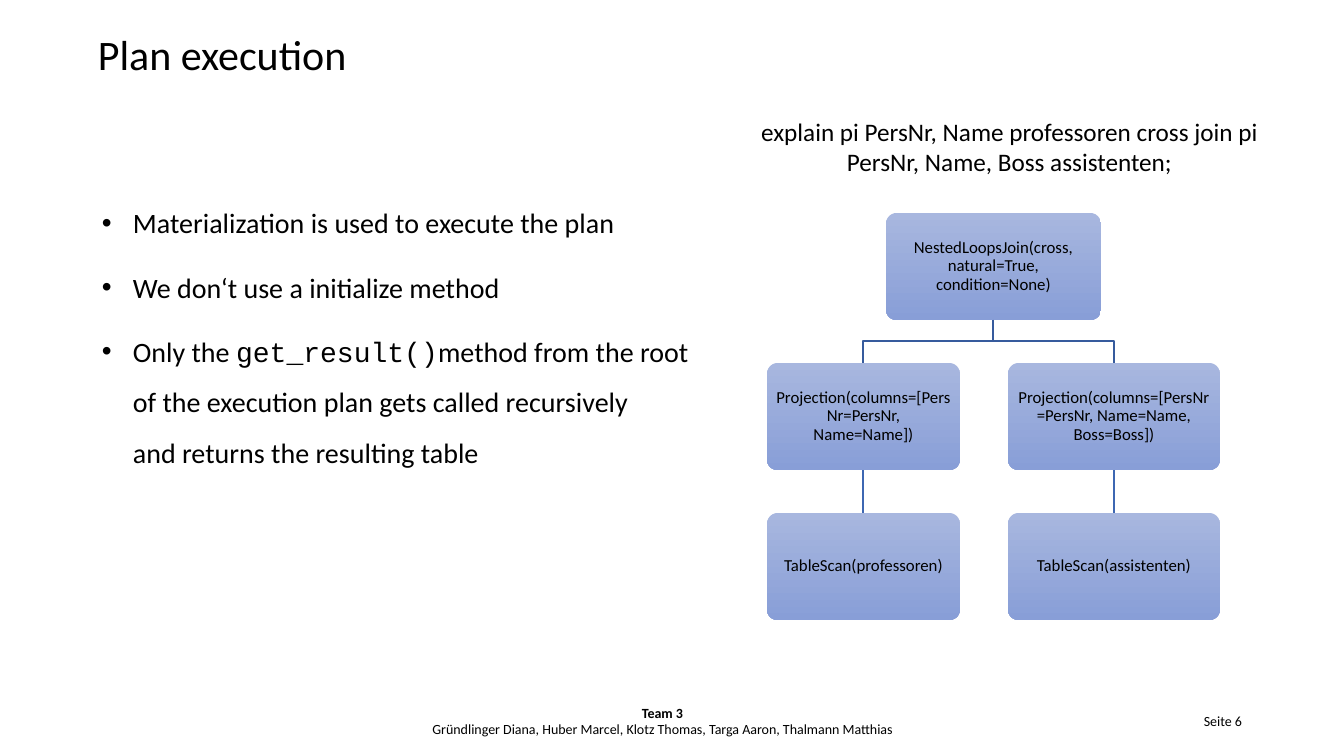
from dataclasses import dataclass
from typing import Any, NamedTuple

import pptx
import pptx.dml.color
import pptx.enum.shapes
import pptx.enum.text
import pptx.oxml.xmlchemy
import pptx.util

EMU_PER_PX = 914400 / 100.8
Align = pptx.enum.text.PP_ALIGN
Anchor = pptx.enum.text.MSO_ANCHOR


@dataclass(frozen=True)
class Theme:
    font: str = "Calibri"
    code_font: str = "Courier New"
    text: str = "000000"
    node_top: str = "A8B7DF"
    node_bottom: str = "889ED7"
    elbow: str = "365B9D"
    straight: str = "3E67B2"
    title_size: int = 30
    body_size: int = 20
    caption_size: int = 18
    node_size: int = 12
    footer_size: int = 10


THEME = Theme()


class Box(NamedTuple):
    left: int
    top: int
    width: int
    height: int

    @property
    def center(self) -> int:
        return self.left + self.width // 2

    @property
    def bottom(self) -> int:
        return self.top + self.height


class Run(NamedTuple):
    text: str
    font: str = THEME.font
    bold: bool = False


@dataclass(frozen=True)
class TextBlock:
    box: Box
    paragraphs: list[list[Run]]
    size: int
    paragraph_format: dict[str, Any]
    frame_format: dict[str, Any]
    bulleted: bool = False


@dataclass(frozen=True)
class PlanNode:
    box: Box
    label: str


NODE_HEIGHT, ROW_PITCH, TREE_TOP = 107, 150, 213


def plan_node(left: int, width: int, row: int, label: str) -> PlanNode:
    return PlanNode(Box(left, TREE_TOP + row * ROW_PITCH, width, NODE_HEIGHT), label)


ROOT = plan_node(886, 215, 0, "NestedLoopsJoin(cross, natural=True, condition=None)")
BRANCHES = [
    (plan_node(767, 193, 1, "Projection(columns=[PersNr=PersNr, Name=Name])"),
     plan_node(767, 193, 2, "TableScan(professoren)")),
    (plan_node(1008, 212, 1, "Projection(columns=[PersNr=PersNr, Name=Name, Boss=Boss])"),
     plan_node(1008, 212, 2, "TableScan(assistenten)")),
]


def px(length: int) -> pptx.util.Emu:
    return pptx.util.Emu(round(length * EMU_PER_PX))


def color(value: str) -> pptx.dml.color.RGBColor:
    return pptx.dml.color.RGBColor.from_string(value)


def apply(target: Any, values: dict[str, Any]) -> None:
    for name, value in values.items():
        setattr(target, name, value)


TEXT_BLOCKS = [
    TextBlock(Box(92, 184, 636, 476), [
        [Run("Materialization is used to execute the plan")],
        [Run("We don‘t use a initialize method")],
        [Run("Only the "), Run("get_result()", THEME.code_font),
         Run("method from the root of the execution plan gets called recursively\n"
             "and returns the resulting table")],
    ], THEME.body_size, {"line_spacing": 1.5, "space_before": pptx.util.Pt(10)},
        {"margin_right": px(14)}, bulleted=True),
    TextBlock(Box(950, 701, 302, 40), [[Run("Seite 6")]], THEME.footer_size,
              {"alignment": Align.RIGHT}, {"vertical_anchor": Anchor.MIDDLE}),
    TextBlock(Box(410, 701, 505, 40), [
        [Run("Team 3\n", bold=True),
         Run("Gründlinger Diana, Huber Marcel, Klotz Thomas, Targa Aaron, Thalmann Matthias")],
    ], THEME.footer_size, {"alignment": Align.CENTER}, {"vertical_anchor": Anchor.MIDDLE}),
    TextBlock(Box(88, 29, 1159, 53), [[Run("Plan execution")]], THEME.title_size,
              {"line_spacing": 0.9}, {}),
    TextBlock(Box(736, 111, 547, 72), [
        [Run("explain pi PersNr, Name professoren cross join pi "
             "PersNr, Name, Boss assistenten;")],
    ], THEME.caption_size, {"alignment": Align.CENTER}, {}),
]


def add_runs(paragraph: Any, runs: list[Run], size: int) -> None:
    """Write the runs, turning each newline into a line break."""
    for run in runs:
        for index, line in enumerate(run.text.split("\n")):
            if index:
                paragraph.add_line_break()
            if line:
                text_run = paragraph.add_run()
                text_run.text = line
                apply(text_run.font, {"name": run.font, "size": pptx.util.Pt(size),
                                      "bold": run.bold})
                text_run.font.color.rgb = color(THEME.text)


def add_bullet(paragraph: Any) -> None:
    properties = paragraph._p.get_or_add_pPr()
    properties.set("marL", str(px(31)))
    properties.set("indent", str(px(-31)))
    for tag, name, value in (("a:buFont", "typeface", "Arial"), ("a:buChar", "char", "•")):
        element = pptx.oxml.xmlchemy.OxmlElement(tag)
        element.set(name, value)
        properties.append(element)


def add_text_block(slide: Any, block: TextBlock) -> None:
    frame = slide.shapes.add_textbox(*map(px, block.box)).text_frame
    apply(frame, {"word_wrap": True, **block.frame_format})
    for index, runs in enumerate(block.paragraphs):
        paragraph = frame.add_paragraph() if index else frame.paragraphs[0]
        apply(paragraph, block.paragraph_format)
        add_runs(paragraph, runs, block.size)
        if block.bulleted:
            add_bullet(paragraph)


def add_node(slide: Any, node: PlanNode) -> None:
    shape = slide.shapes.add_shape(
        pptx.enum.shapes.MSO_SHAPE.ROUNDED_RECTANGLE, *map(px, node.box))
    shape.adjustments[0] = 0.1
    shape.shadow.inherit = False
    shape.line.fill.background()
    shape.fill.gradient()
    shape.fill.gradient_angle = 270
    for stop, value in zip(shape.fill.gradient_stops, (THEME.node_top, THEME.node_bottom)):
        stop.color.rgb = color(value)
    frame = shape.text_frame
    margins = dict.fromkeys(
        ("margin_left", "margin_top", "margin_right", "margin_bottom"), px(5))
    apply(frame, {"word_wrap": True, "vertical_anchor": Anchor.MIDDLE, **margins})
    apply(frame.paragraphs[0], {"alignment": Align.CENTER, "line_spacing": 0.9})
    add_runs(frame.paragraphs[0], [Run(node.label)], THEME.node_size)


def style_line(shape: Any, value: str) -> None:
    shape.line.color.rgb = color(value)
    shape.line.width = pptx.util.Pt(1)


def add_elbow(slide: Any, parent: Box, child: Box) -> None:
    middle = (parent.bottom + child.top) // 2
    builder = slide.shapes.build_freeform(parent.center, parent.bottom, scale=EMU_PER_PX)
    builder.add_line_segments(
        [(parent.center, middle), (child.center, middle), (child.center, child.top)],
        close=False)
    shape = builder.convert_to_shape()
    shape.shadow.inherit = False
    shape.fill.background()
    style_line(shape, THEME.elbow)


def add_straight(slide: Any, parent: Box, child: Box) -> None:
    connector = slide.shapes.add_connector(
        pptx.enum.shapes.MSO_CONNECTOR.STRAIGHT,
        *map(px, (parent.center, parent.bottom, child.center, child.top)))
    style_line(connector, THEME.straight)
    connector._element.spPr.append(pptx.oxml.xmlchemy.OxmlElement("a:effectLst"))


def main() -> None:
    presentation = pptx.Presentation()
    apply(presentation, {"slide_width": px(1344), "slide_height": px(756)})
    slide = presentation.slides.add_slide(presentation.slide_layouts[6])
    for block in TEXT_BLOCKS:
        add_text_block(slide, block)
    add_node(slide, ROOT)
    for projection, scan in BRANCHES:
        add_elbow(slide, ROOT.box, projection.box)
        add_straight(slide, projection.box, scan.box)
        add_node(slide, projection)
        add_node(slide, scan)
    presentation.save("out.pptx")


if __name__ == "__main__":
    main()
